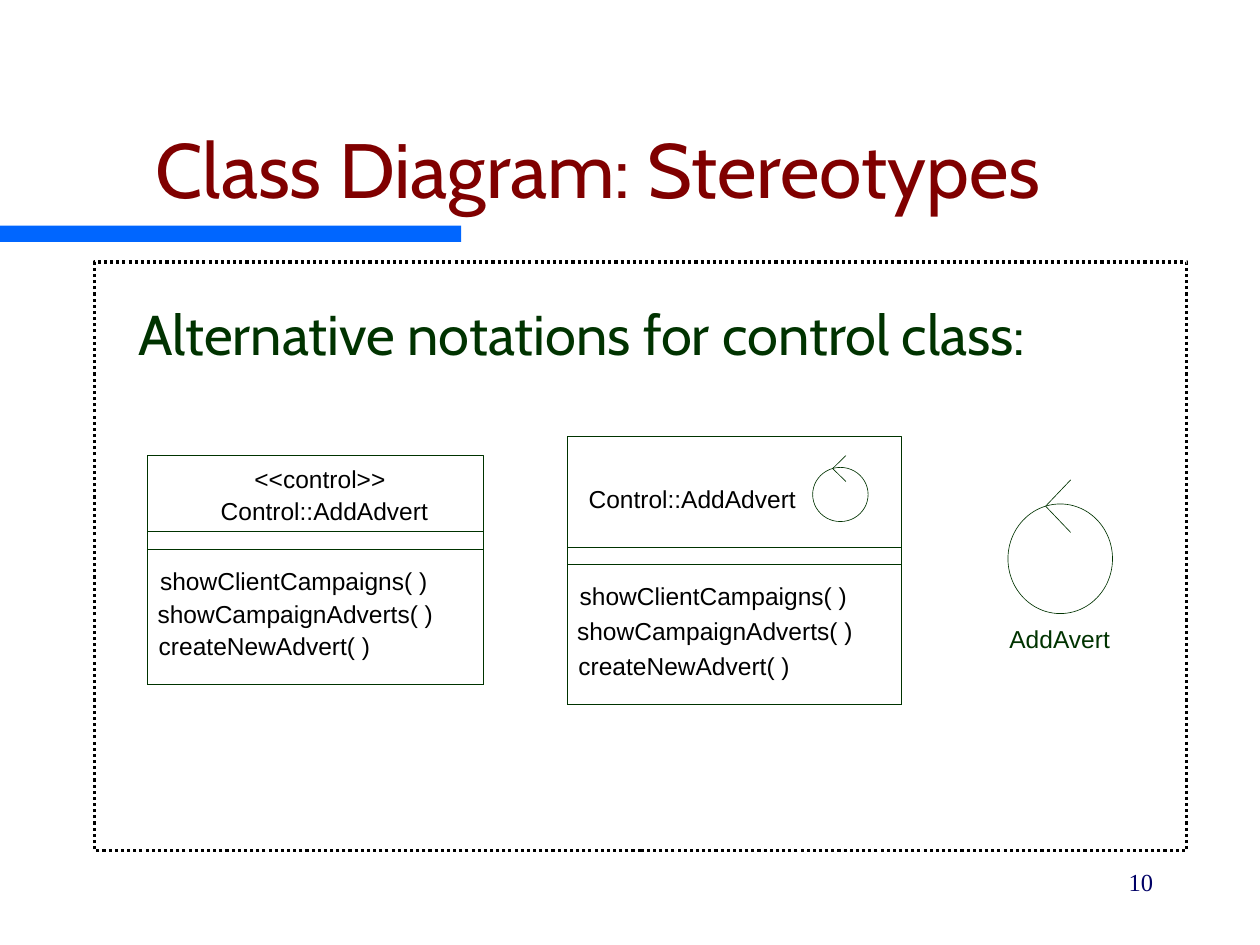
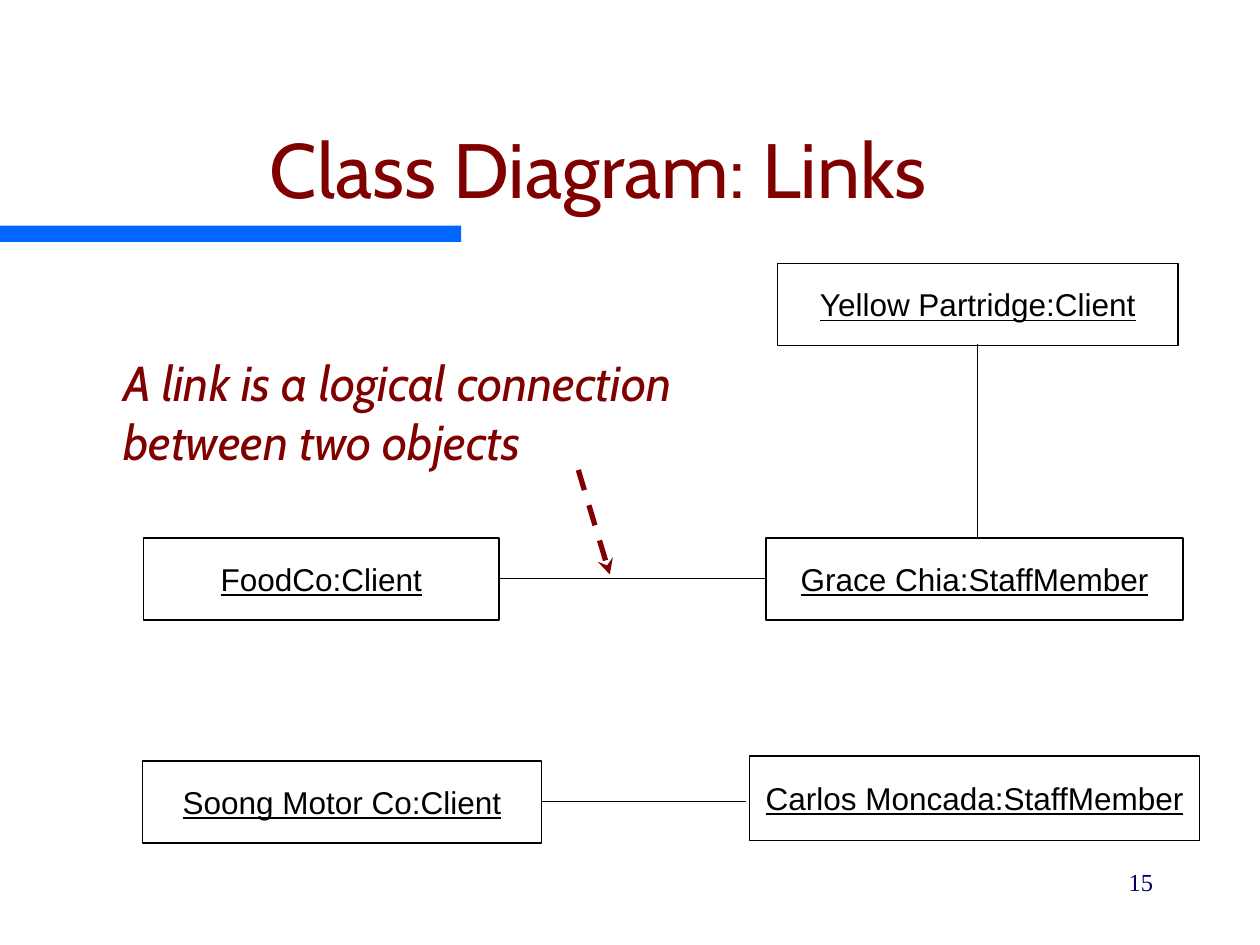
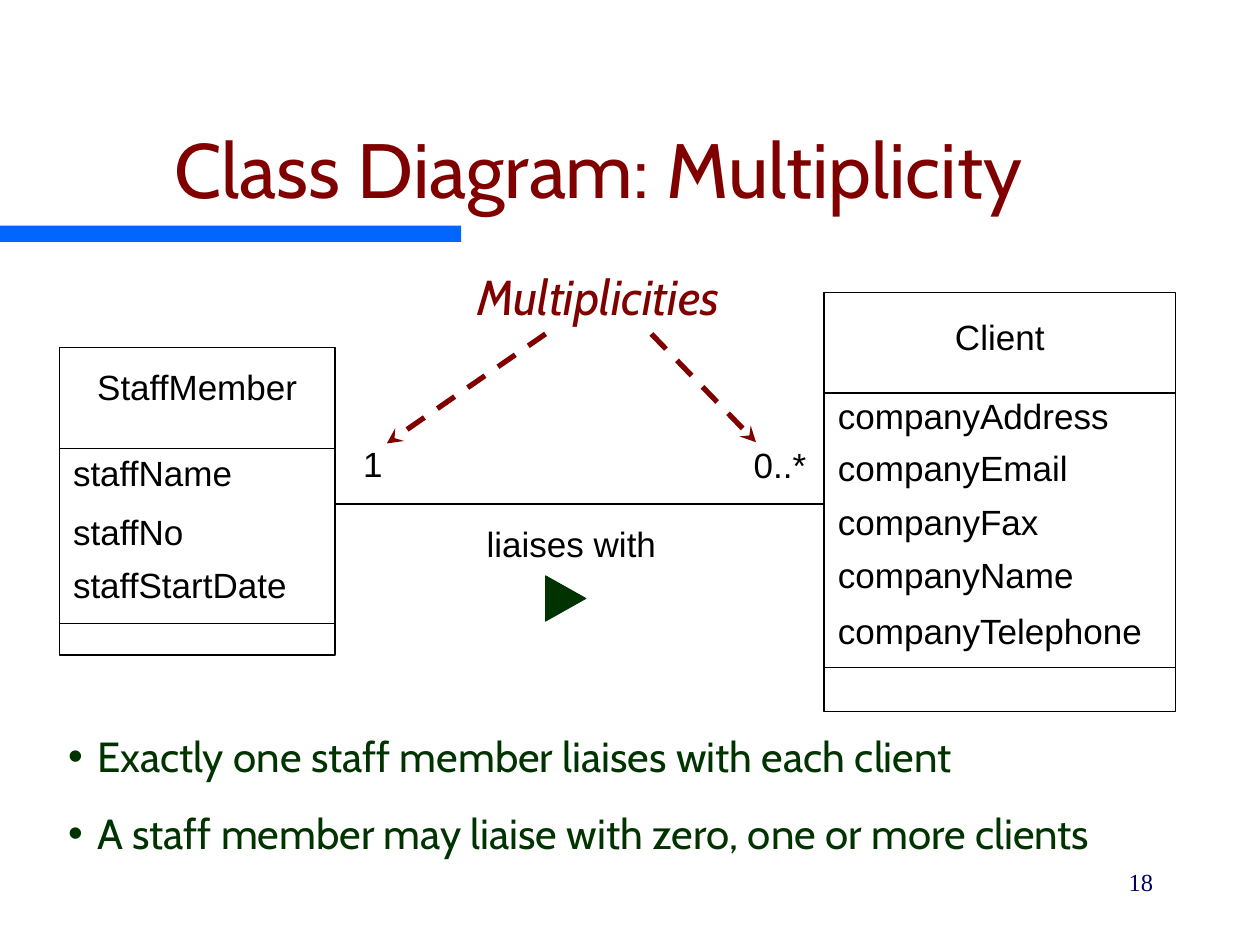
from lxml import etree
from pptx import Presentation
from pptx import util as u
from pptx.dml.color import RGBColor
from pptx.enum import dml, shapes, text
from pptx.oxml.ns import qn

COLORS = {
    "title": "800000",
    "band": "0066FF",
    "green": "003300",
    "black": "000000",
    "white": "FFFFFF",
    "number": "000066",
}
HEADING, LABEL, NUMBER = "Cabin", "Arial", "Times New Roman"
LEFT, CENTER, RIGHT = text.PP_ALIGN.LEFT, text.PP_ALIGN.CENTER, text.PP_ALIGN.RIGHT
RECT = shapes.MSO_SHAPE.RECTANGLE
OVAL = shapes.MSO_SHAPE.OVAL
TRIANGLE = shapes.MSO_SHAPE.ISOSCELES_TRIANGLE
TITLE_AND_BODY, TITLE_ONLY = 1, 5


def rgb(color):
    return RGBColor.from_string(COLORS[color])


class Deck:
    def __init__(self):
        self.prs = Presentation()
        self.prs.slide_width, self.prs.slide_height = u.Inches(10), u.Inches(7.5)
        self.slide = None

    def new_slide(self, title, number, layout=TITLE_ONLY):
        self.slide = self.prs.slides.add_slide(self.prs.slide_layouts[layout])
        self.shape(RECT, 0, 1.79, 3.66, 0.13, fill="band")
        heading = self.slide.shapes.title
        self.place(heading, 0.25, 0.5, 9, 1.25)
        self.set_text(heading, [title], 44, HEADING, "title", CENTER,
                      anchor=text.MSO_ANCHOR.BOTTOM)
        self.textbox(str(number), 7.17, 6.83, 2.08, 0.5, 14, NUMBER, "number", RIGHT)

    def place(self, shape, x, y, w, h):
        shape.left, shape.top = u.Inches(x), u.Inches(y)
        shape.width, shape.height = u.Inches(w), u.Inches(h)

    def set_text(self, shape, lines, size, font, color, align=LEFT,
                 anchor=text.MSO_ANCHOR.TOP, wrap=True, inset=(0.1, 0.05), before=0,
                 italic=None, underline=None):
        frame = shape.text_frame
        frame.auto_size = text.MSO_AUTO_SIZE.NONE
        frame.word_wrap = wrap
        frame.vertical_anchor = anchor
        frame.margin_left = frame.margin_right = u.Inches(inset[0])
        frame.margin_top = frame.margin_bottom = u.Inches(inset[1])
        frame.text = "\n".join(lines)
        for paragraph in frame.paragraphs:
            paragraph.alignment = align
            paragraph.space_before = u.Pt(before)
            paragraph.font.size = u.Pt(size)
            paragraph.font.name = font
            paragraph.font.color.rgb = rgb(color)
            paragraph.font.italic = italic
            paragraph.font.underline = underline

    def textbox(self, words, x, y, w, h, size, font, color, align=LEFT, **style):
        box = self.slide.shapes.add_textbox(*map(u.Inches, (x, y, w, h)))
        self.set_text(box, [words], size, font, color, align, **style)

    def label(self, words, x, y, w, size=20, align=LEFT, color="black"):
        self.textbox(words, x, y, w, size / 60, size, LABEL, color, align,
                     wrap=False, inset=(0, 0))

    def bullets(self, lines, x, y, w, h):
        body = self.slide.placeholders[1]
        self.place(body, x, y, w, h)
        self.set_text(body, lines, 24, HEADING, "green", before=15)
        for paragraph in body.text_frame.paragraphs:
            properties = paragraph._p.get_or_add_pPr()
            properties.set("marL", str(u.Inches(0.23)))
            properties.set("indent", str(u.Inches(-0.23)))

    def shape(self, kind, x, y, w, h, fill=None, line=None, width=0.75, dash=None):
        shape = self.slide.shapes.add_shape(kind, *map(u.Inches, (x, y, w, h)))
        shape.shadow.inherit = False
        if fill:
            shape.fill.solid()
            shape.fill.fore_color.rgb = rgb(fill)
        else:
            shape.fill.background()
        if line:
            self.stroke(shape.line, line, width, dash)
        else:
            shape.line.fill.background()
        return shape

    def stroke(self, line, color, width, dash):
        line.color.rgb = rgb(color)
        line.width = u.Pt(width)
        if dash:
            line.dash_style = dash

    def line(self, start, end, color="black", width=0.75, dash=None):
        line = self.slide.shapes.add_connector(
            shapes.MSO_CONNECTOR.STRAIGHT, *map(u.Inches, (*start, *end)))
        self.stroke(line.line, color, width, dash)
        etree.SubElement(line.element.spPr, qn("a:effectLst"))
        return line

    def pointer(self, start, end):
        pointer = self.line(start, end, "title", 3, dml.MSO_LINE.DASH)
        outline = pointer.element.spPr.find(qn("a:ln"))
        etree.SubElement(outline, qn("a:tailEnd")).set("type", "stealth")

    def control_icon(self, x, y, w, h):
        self.shape(OVAL, x, y, w, h, line="green", width=0.37)
        tip_x, tip_y = x + 0.36 * w, y + 0.02 * h
        for side in (-1, 1):
            self.line((tip_x + 0.24 * w, tip_y + side * 0.24 * h), (tip_x, tip_y),
                      "green", 0.37)

    def control_class(self, x, w, tops, bottom, first_row, row_step):
        for top in tops:
            self.shape(RECT, x, top, w, bottom - top, line="green", width=0.37)
        operations = [("showClientCampaigns( )", 0.1, 2.12),
                      ("showCampaignAdverts( )", 0.08, 2.19),
                      ("createNewAdvert( )", 0.09, 1.68)]
        for row, (operation, indent, width) in enumerate(operations):
            self.label(operation, x + indent, first_row + row * row_step, width, 14)

    def object_box(self, name, x, y, w, h=0.65):
        box = self.shape(RECT, x, y, w, h, line="black")
        self.set_text(box, [name], 18, LABEL, "black", CENTER, text.MSO_ANCHOR.MIDDLE,
                      wrap=False, inset=(0, 0), underline=True)

    def entity(self, x, y, w, h, dividers, attributes):
        self.shape(RECT, x, y, w, h, line="black")
        for divider in dividers:
            self.line((x, divider), (x + w, divider))
        for attribute, top, width in attributes:
            self.label(attribute, x + 0.11, top, width)


def stereotypes(deck):
    deck.new_slide("Class Diagram: Stereotypes", 10)
    deck.shape(RECT, 0.75, 2.08, 8.67, 4.67, "white", "black", 1.75, dml.MSO_LINE.ROUND_DOT)
    deck.textbox("Alternative notations for control class:", 1, 2.33, 7.81, 1.17,
                 32, HEADING, "green", before=20)

    deck.control_class(1.17, 2.67, (3.61, 4.22, 4.36), 5.43, 4.49, 0.26)
    deck.label("<<control>>", 2.02, 3.68, 1.04, 14, CENTER)
    deck.label("Control::AddAdvert", 1.75, 3.94, 1.65, 14, CENTER)

    deck.control_class(4.5, 2.65, (3.46, 4.34, 4.48), 5.59, 4.61, 0.28)
    deck.label("Control::AddAdvert", 4.67, 3.84, 1.65, 14, CENTER)
    deck.control_icon(6.45, 3.71, 0.44, 0.43)

    deck.control_icon(8, 4, 0.83, 0.87)
    deck.label("AddAvert", 7.5, 4.95, 1.82, 14, CENTER, "green")


def links(deck):
    deck.new_slide("Class Diagram: Links", 15)
    deck.object_box("FoodCo:Client", 1.14, 4.27, 2.82)
    deck.object_box("Yellow Partridge:Client", 6.17, 2.09, 3.18)
    deck.object_box("Soong Motor Co:Client", 1.13, 6.04, 3.17)
    deck.object_box("Grace Chia:StaffMember", 6.08, 4.27, 3.31)
    deck.object_box("Carlos Moncada:StaffMember", 5.95, 6, 3.57, 0.67)
    deck.line((6.07, 4.59), (3.95, 4.59))
    deck.line((5.92, 6.36), (4.29, 6.36))
    deck.line((7.76, 4.27), (7.76, 2.73))
    deck.textbox("A link is a logical connection between two objects", 0.88, 2.75, 5.04, 1.5,
                 28, HEADING, "title", before=17.5, italic=True)
    deck.pointer((4.59, 3.73), (4.84, 4.56))


def multiplicity(deck):
    deck.new_slide("Class Diagram: Multiplicity", 18, TITLE_AND_BODY)
    deck.entity(0.47, 2.76, 2.19, 2.44, (3.56, 4.95), [
        ("staffName", 3.58, 1.27), ("staffNo", 4.05, 0.88), ("staffStartDate", 4.47, 1.7)])
    deck.label("StaffMember", 0.77, 2.9, 1.59, align=CENTER)
    deck.entity(6.54, 2.32, 2.79, 3.33, (3.12, 5.3), [
        ("companyAddress", 3.13, 2.15), ("companyEmail", 3.54, 1.83),
        ("companyFax", 3.97, 1.59), ("companyName", 4.39, 1.87),
        ("companyTelephone", 4.84, 2.45)])
    deck.label("Client", 7.58, 2.5, 0.71, align=CENTER)

    deck.line((2.66, 4), (6.55, 4))
    deck.label("1", 2.88, 3.51, 0.16, align=CENTER)
    deck.label("0..*", 5.98, 3.52, 0.42, align=CENTER)
    deck.label("liaises with", 3.86, 4.15, 1.35, align=CENTER)
    direction = deck.shape(TRIANGLE, 4.31, 4.59, 0.36, 0.32, "green", "green", 0.5)
    direction.rotation = 90

    deck.textbox("Multiplicities", 3.5, 2.07, 2.5, 0.57, 28, HEADING, "title", CENTER,
                 before=17.5, italic=True)
    deck.pointer((4.33, 2.65), (3.07, 3.52))
    deck.pointer((5.17, 2.65), (6, 3.51))
    deck.bullets(["Exactly one staff member liaises with each client",
                  "A staff member may liaise with zero, one or more clients"],
                 0.44, 5.75, 9.13, 1.11)


def main():
    deck = Deck()
    stereotypes(deck)
    links(deck)
    multiplicity(deck)
    deck.prs.save("out.pptx")


if __name__ == "__main__":
    main()
